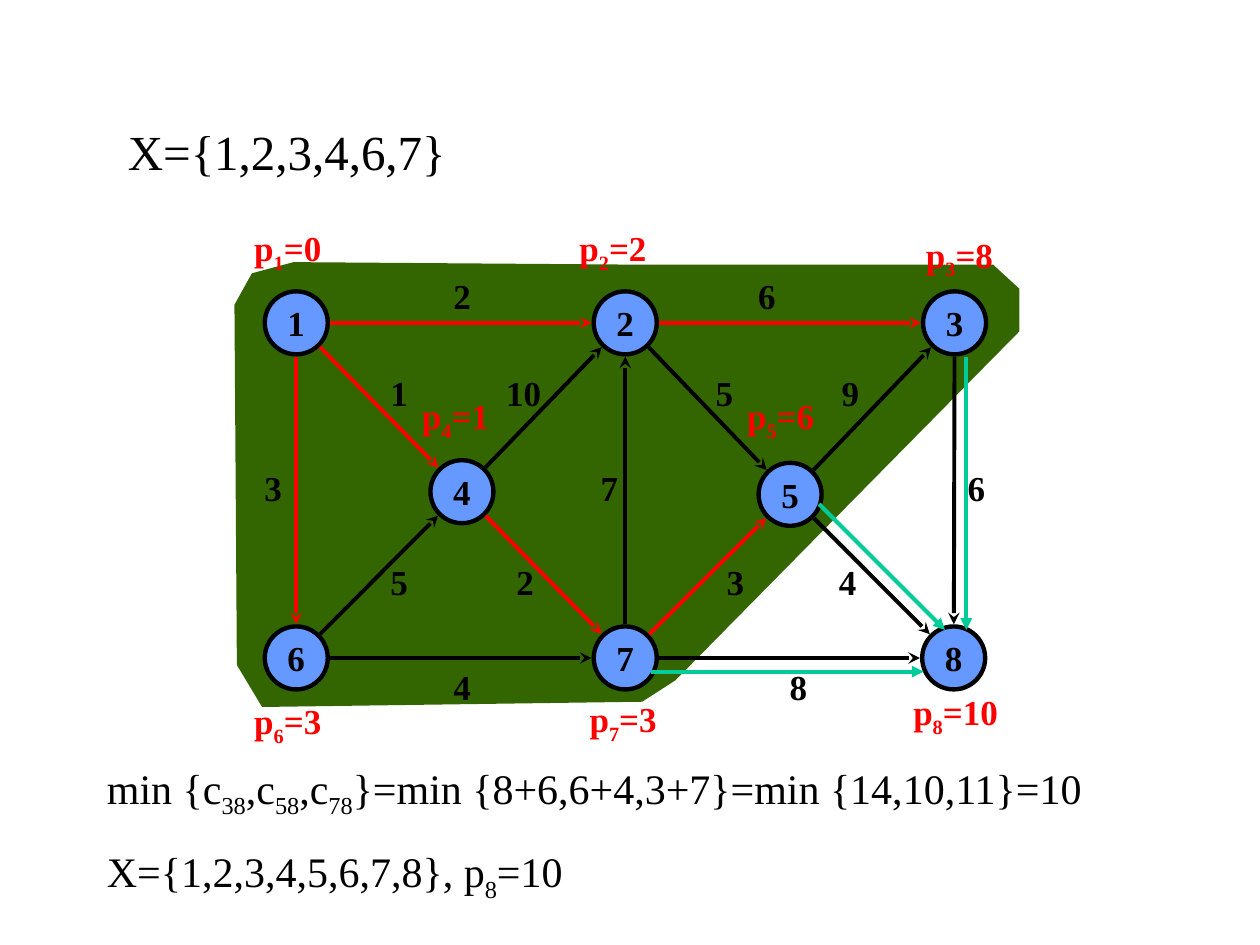
from math import hypot

from lxml.etree import SubElement
from pptx import Presentation
from pptx.dml.color import RGBColor
from pptx.enum.shapes import MSO_CONNECTOR, MSO_SHAPE
from pptx.enum.text import MSO_ANCHOR, MSO_AUTO_SIZE, PP_ALIGN
from pptx.oxml.ns import qn
from pptx.util import Pt

COLORS = {
    "ink": "000000",
    "path": "FF0000",
    "candidate": "00CC99",
    "node": "6699FF",
    "region": "336600",
}
FONT = "Times New Roman"
NODE_SIZE = 36
EDGE_GAP = 19.3  # from the centre of a node to the end of its edge
GRAPH_BOX = (134, 126)

REGION = [(33.8, 23.8), (223, 25.2), (433.5, 25.2), (448.5, 39), (448.5, 63.4),
          (252, 262.8), (233, 275), (15.8, 278), (1.4, 254), (0, 48.2), (10, 30.2)]

NODES = {  # name: centre
    "1": (35.3, 58.5), "2": (223.3, 58.5), "3": (411.5, 58.5),
    "4": (130, 155), "5": (317.5, 156.5),
    "6": (35.3, 250), "7": (223.3, 250), "8": (411, 250),
}

EDGES = [  # from, to, weight, color, left and top of the weight
    ("1", "2", "2", "path", 118, 27.4),
    ("2", "3", "6", "path", 292.2, 27.4),
    ("1", "6", "3", "path", 10, 136.8),
    ("6", "7", "4", "ink", 118, 250.6),
    ("7", "8", "8", "ink", 310.2, 250.6),
    ("3", "8", "6", "ink", 411.8, 136.8),
    ("1", "4", "1", "path", 82, 82.8),
    ("4", "7", "2", "path", 154, 190.8),
    ("6", "4", "5", "ink", 82, 190.8),
    ("4", "2", "10", "ink", 148.2, 82.8),
    ("7", "2", "7", "ink", 202.2, 136.8),
    ("2", "5", "5", "ink", 267.8, 82.8),
    ("5", "3", "9", "ink", 339.8, 82.8),
    ("5", "8", "4", "ink", 338.3, 190.8),
    ("7", "5", "3", "path", 274.2, 190.8),
]

DISTANCES = [  # text, left, top, width
    ("p_1_=0", 4.2, 0, 60), ("p_2_=2", 190, 0, 60), ("p_3_=8", 388, 3.6, 60),
    ("p_4_=1", 100, 95.8, 60), ("p_5_=6", 285.8, 95.8, 60),
    ("p_6_=3", 4.2, 270, 66), ("p_7_=3", 195.8, 269.3, 60),
    ("p_8_=10", 380.8, 265, 72),
]

CANDIDATES = [  # start, end
    ((238.2, 257.8), (393.8, 257.8)),
    ((334, 162), (406, 234)),
    ((418.2, 77.8), (418.2, 234)),
]


def rgb(name):
    return RGBColor.from_string(COLORS[name])


def write_runs(paragraph, text, size, color="ink", bold=False):
    """Write the text; parts between underscores become subscripts."""
    for index, part in enumerate(text.split("_")):
        run = paragraph.add_run()
        run.text = part
        font_format = {"name": FONT, "size": Pt(size), "bold": bold}
        for name, value in font_format.items():
            setattr(run.font, name, value)
        run.font.color.rgb = rgb(color)
        if index % 2:
            run.font._element.set("baseline", "-25000")


def add_text(slide, left, top, width, height, lines, size, space=0, **style):
    box = slide.shapes.add_textbox(Pt(left), Pt(top), Pt(width), Pt(height))
    frame = box.text_frame
    frame.word_wrap = True
    frame.auto_size = MSO_AUTO_SIZE.SHAPE_TO_FIT_TEXT
    for index, line in enumerate(lines):
        paragraph = frame.add_paragraph() if index else frame.paragraphs[0]
        if index:
            paragraph.space_before = Pt(space)
        write_runs(paragraph, line, size, **style)


def add_arrow(slide, start, end, color, head):
    arrow = slide.shapes.add_connector(
        MSO_CONNECTOR.STRAIGHT, *(Pt(value) for value in (*start, *end)))
    arrow.line.color.rgb = rgb(color)
    arrow.line.width = Pt(2.25)
    SubElement(arrow.line._get_or_add_ln(), qn("a:tailEnd"), type=head)
    SubElement(arrow._element.spPr, qn("a:effectLst"))


def add_region(slide, points):
    corners = [(Pt(x), Pt(y)) for x, y in points]
    builder = slide.shapes.build_freeform(*corners[0])
    builder.add_line_segments(corners[1:], close=True)
    region = builder.convert_to_shape()
    region.shadow.inherit = False
    region.fill.solid()
    region.fill.fore_color.rgb = rgb("region")
    region.line.fill.background()


def add_node(slide, center, name):
    left, top = (Pt(value - NODE_SIZE / 2) for value in center)
    node = slide.shapes.add_shape(
        MSO_SHAPE.OVAL, left, top, Pt(NODE_SIZE), Pt(NODE_SIZE))
    node.shadow.inherit = False
    node.fill.solid()
    node.fill.fore_color.rgb = rgb("node")
    node.line.color.rgb = rgb("ink")
    node.line.width = Pt(2.5)
    frame = node.text_frame
    frame.word_wrap = False
    frame.vertical_anchor = MSO_ANCHOR.MIDDLE
    paragraph = frame.paragraphs[0]
    paragraph.alignment = PP_ALIGN.CENTER
    write_runs(paragraph, name, 20, bold=True)


def add_edge(slide, start, end, color):
    """Join two node centres, leaving a gap at both ends."""
    (x1, y1), (x2, y2) = start, end
    share = EDGE_GAP / hypot(x2 - x1, y2 - y1)
    dx, dy = (x2 - x1) * share, (y2 - y1) * share
    add_arrow(slide, (x1 + dx, y1 + dy), (x2 - dx, y2 - dy), color, "stealth")


def add_graph(slide, left, top):
    def place(point):
        return left + point[0], top + point[1]

    add_region(slide, [place(point) for point in REGION])
    centers = {name: place(center) for name, center in NODES.items()}
    for name, center in centers.items():
        add_node(slide, center, name)
    for source, target, weight, color, x, y in EDGES:
        add_edge(slide, centers[source], centers[target], color)
        width = 36 if len(weight) > 1 else 30
        add_text(slide, *place((x, y)), width, 31.5, [weight], 20, bold=True)
    for text, x, y, width in DISTANCES:
        add_text(slide, *place((x, y)), width, 34.5, [text], 20,
                 color="path", bold=True)
    for start, end in CANDIDATES:
        add_arrow(slide, place(start), place(end), "candidate", "triangle")


def main():
    presentation = Presentation()
    presentation.slide_width, presentation.slide_height = Pt(720), Pt(540)
    slide = presentation.slides.add_slide(presentation.slide_layouts[6])
    add_graph(slide, *GRAPH_BOX)
    add_text(slide, 66, 66, 576, 41, ["X={1,2,3,4,6,7}"], 28)
    add_text(slide, 54, 432, 666, 88, [
        "min {c_38_,c_58_,c_78_}=min {8+6,6+4,3+7}=min {14,10,11}=10",
        "X={1,2,3,4,5,6,7,8}, p_8_=10",
    ], 24, space=15)
    presentation.save("out.pptx")


if __name__ == "__main__":
    main()
